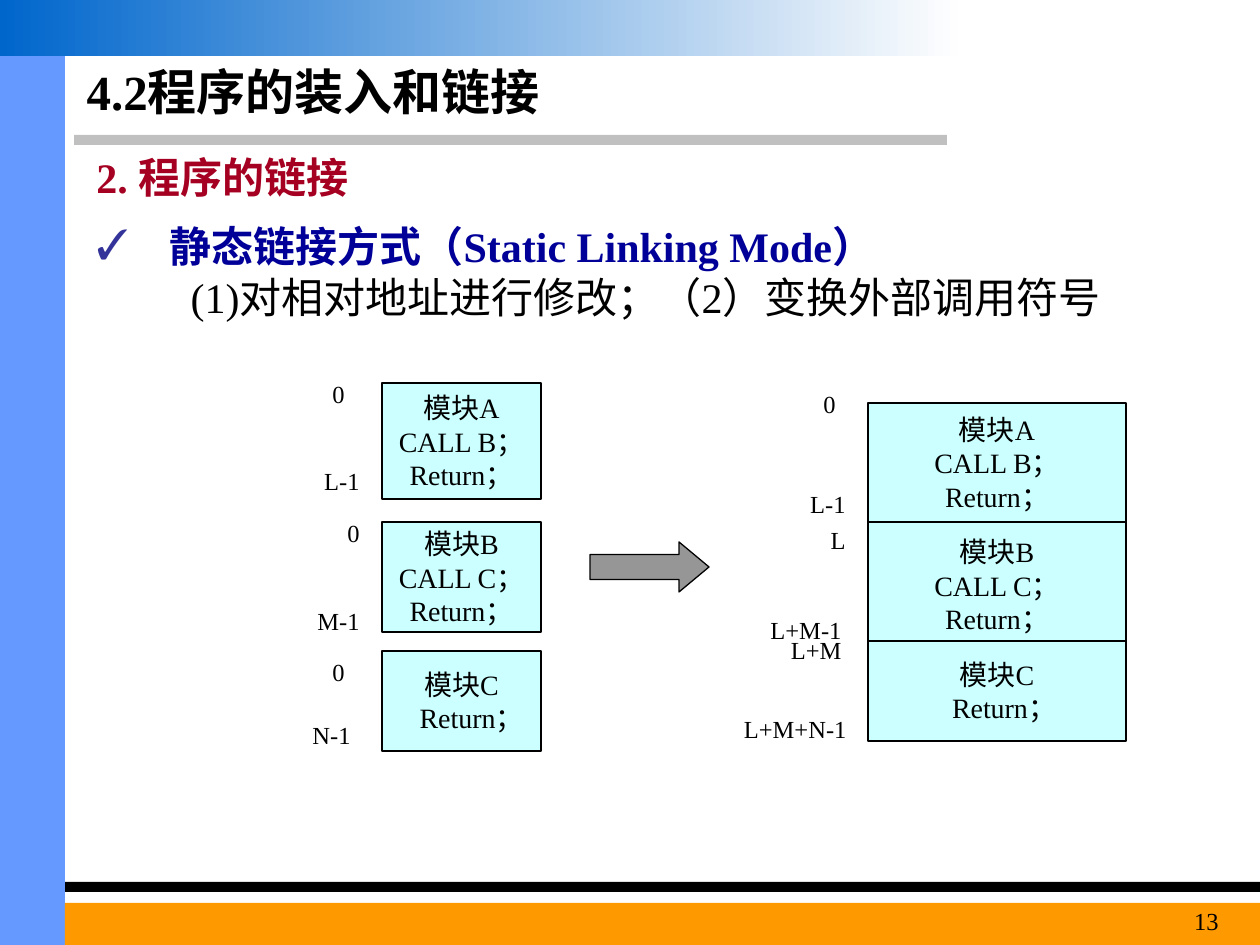
from lxml import etree
from pptx import Presentation
from pptx import util as u
from pptx.dml.color import RGBColor
from pptx.enum import shapes, text
from pptx.oxml.ns import qn

PX = 914400 / 126
FONT = "Times New Roman"
BLACK = RGBColor(0x00, 0x00, 0x00)
NEAR_WHITE = RGBColor(0xFE, 0xFE, 0xFE)
SILVER = RGBColor(0xC0, 0xC0, 0xC0)
GRAY = RGBColor(0x96, 0x96, 0x96)
BLUE = RGBColor(0x00, 0x66, 0xCC)
RAIL_BLUE = RGBColor(0x66, 0x99, 0xFF)
ORANGE = RGBColor(0xFF, 0x99, 0x00)
CYAN = RGBColor(0xCC, 0xFF, 0xFF)
CRIMSON = RGBColor(0xA5, 0x00, 0x21)
NAVY = RGBColor(0x00, 0x00, 0x99)
INDIGO = RGBColor(0x33, 0x33, 0x99)

LEFT, CENTER, RIGHT = text.PP_ALIGN.LEFT, text.PP_ALIGN.CENTER, text.PP_ALIGN.RIGHT
RECT = shapes.MSO_SHAPE.RECTANGLE
LABEL_W, LABEL_H = 134, 43

# Each module: top, height, indent of its last line, lines
SEPARATE_MODULES = [
    (383, 116, 0, ["模块A", "CALL B；", "Return；"]),
    (522, 110, 0, ["模块B", "CALL C；", "Return；"]),
    (651, 100, 20, ["模块C", "Return；"]),
]
LINKED_MODULES = [
    (403, 119, 0, ["模块A", "CALL B；", "Return；"]),
    (522, 126, 0, ["模块B", "CALL C；", "Return；"]),
    (641, 100, 14, ["模块C", "Return；"]),
]
# Each address: text, right edge, top
ADDRESSES = [
    ("0", 357, 373), ("L-1", 372, 460),
    ("0", 372, 512), ("M-1", 372, 600),
    ("0", 357, 651), ("N-1", 363, 714),
    ("0", 848, 383), ("L-1", 858, 483),
    ("L", 858, 519), ("L+M-1", 854, 609),
    ("L+M", 854, 629), ("L+M+N-1", 859, 708),
]


def px(n):
    return u.Emu(round(n * PX))


def write(p, content, size=14, color=BLACK, bold=False, align=LEFT,
          margin=0, indent=0, before=0, spacing=1.0):
    p.alignment = align
    p.line_spacing = spacing
    p.space_before = u.Pt(before)
    pPr = p._p.get_or_add_pPr()
    pPr.set("marL", str(px(margin)))
    pPr.set("indent", str(px(indent)))
    r = p.add_run()
    r.text = content
    r.font.name = FONT
    r.font.size = u.Pt(size)
    r.font.bold = bold
    r.font.color.rgb = color


def set_bullet(p, char=None, color=INDIGO):
    """Give the paragraph a bullet, or none when char is missing."""
    pPr = p._p.get_or_add_pPr()
    if char is None:
        etree.SubElement(pPr, qn("a:buNone"))
        return
    clr = etree.SubElement(pPr, qn("a:buClr"))
    etree.SubElement(clr, qn("a:srgbClr"), val=str(color))
    etree.SubElement(pPr, qn("a:buFont"), typeface=FONT)
    etree.SubElement(pPr, qn("a:buChar"), char=char)


def place(sp, x, y, w, h):
    sp.left, sp.top, sp.width, sp.height = px(x), px(y), px(w), px(h)


def add_block(s, x, y, w, h, fill, kind=RECT, outlined=False):
    sp = s.shapes.add_shape(kind, px(x), px(y), px(w), px(h))
    sp.shadow.inherit = False
    sp.fill.solid()
    sp.fill.fore_color.rgb = fill
    if outlined:
        sp.line.color.rgb = BLACK
        sp.line.width = u.Pt(0.75)
    else:
        sp.line.fill.background()
    return sp


def add_text(s, x, y, w, h, content, **fmt):
    tf = s.shapes.add_textbox(px(x), px(y), px(w), px(h)).text_frame
    tf.word_wrap = True
    write(tf.paragraphs[0], content, **fmt)


def add_frame(s):
    add_block(s, 74, 135, 873, 10, SILVER)
    add_block(s, 0, 882, 1260, 10, BLACK)
    add_block(s, 0, 56, 65, 889, RAIL_BLUE)
    add_block(s, 65, 903, 1195, 42, ORANGE)
    banner = add_block(s, 0, 0, 958, 56, BLUE)
    banner.fill.gradient()
    banner.fill.gradient_angle = 0
    for stop, color in zip(banner.fill.gradient_stops, (BLUE, NEAR_WHITE)):
        stop.color.rgb = color


def fill_title(s):
    sp = s.shapes.title
    place(sp, 74, 56, 863, 69)
    tf = sp.text_frame
    tf.auto_size = text.MSO_AUTO_SIZE.NONE
    tf.vertical_anchor = text.MSO_ANCHOR.MIDDLE
    write(tf.paragraphs[0], "4.2程序的装入和链接", size=28, bold=True)


def fill_body(s):
    sp = s.placeholders[1]
    place(sp, 84, 224, 1131, 118)
    tf = sp.text_frame
    tf.auto_size = text.MSO_AUTO_SIZE.NONE
    p = tf.paragraphs[0]
    set_bullet(p, "✓")
    write(p, "静态链接方式（Static Linking Mode）", size=24, color=NAVY,
          bold=True, margin=73, indent=-73, spacing=0.8)
    p = tf.add_paragraph()
    set_bullet(p)
    write(p, "(1)对相对地址进行修改；（2）变换外部调用符号", size=24,
          margin=94, before=6, spacing=0.8)


def add_modules(s, x, w, modules):
    for y, h, last_margin, lines in modules:
        tf = add_block(s, x, y, w, h, CYAN, outlined=True).text_frame
        tf.word_wrap = True
        tf.vertical_anchor = text.MSO_ANCHOR.MIDDLE
        for i, line in enumerate(lines):
            p = tf.add_paragraph() if i else tf.paragraphs[0]
            margin = last_margin if line == lines[-1] else 0
            write(p, line, size=16, align=CENTER, margin=margin)


def main():
    prs = Presentation()
    prs.slide_width, prs.slide_height = px(1260), px(945)
    s = prs.slides.add_slide(prs.slide_layouts[1])
    add_frame(s)
    fill_title(s)
    add_text(s, 74, 145, 605, 63, "2. 程序的链接", size=24, color=CRIMSON,
             bold=True, margin=10)
    fill_body(s)
    add_modules(s, 382, 159, SEPARATE_MODULES)
    add_modules(s, 868, 258, LINKED_MODULES)
    for address, right, y in ADDRESSES:
        add_text(s, right - LABEL_W, y, LABEL_W, LABEL_H, address, align=RIGHT)
    arrow = add_block(s, 590, 542, 119, 50, GRAY,
                      kind=shapes.MSO_SHAPE.RIGHT_ARROW, outlined=True)
    arrow.adjustments[0], arrow.adjustments[1] = 0.5, 0.6
    add_text(s, 1116, 900, 115, 45, "13", align=RIGHT)
    prs.save("out.pptx")


if __name__ == "__main__":
    main()
